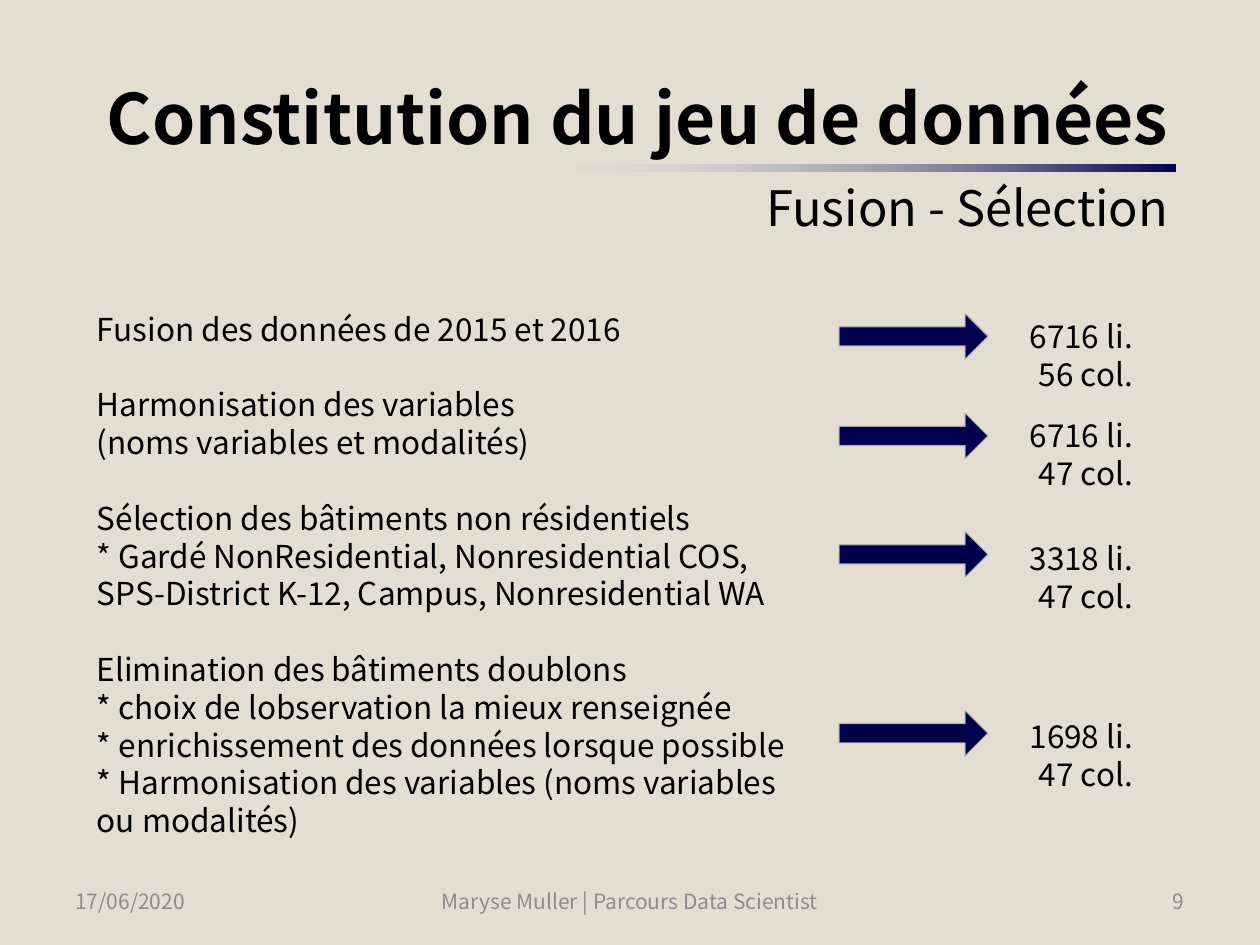
from lxml.etree import SubElement
from pptx import Presentation
from pptx.dml.color import RGBColor
from pptx.enum.shapes import MSO_SHAPE as Shape
from pptx.enum.text import MSO_ANCHOR as Anchor, PP_ALIGN as Align
from pptx.oxml.ns import qn
from pptx.util import Inches, Pt

FONT = "Noto Sans CJK JP"
SAND = RGBColor(0xE3, 0xDE, 0xD1)
NAVY = RGBColor(0x00, 0x00, 0x4C)
MIST = RGBColor(0xE2, 0xE2, 0xE5)
BLACK = RGBColor(0x00, 0x00, 0x00)
GREY = RGBColor(0x8C, 0x8C, 0x8C)
EDGE = RGBColor(0xA6, 0xA6, 0xA6)
LEADING = 1.2

deck = Presentation()
deck.slide_width, deck.slide_height = Inches(10), Inches(7.5)
page = deck.slides.add_slide(deck.slide_layouts[6])
page.background.fill.solid()
page.background.fill.fore_color.rgb = SAND


def add_text(groups, left, top, width, height, *, sizes=(18,), bold_first=False,
             gap=0, color=BLACK, align=Align.LEFT, anchor=Anchor.TOP):
    box = page.shapes.add_textbox(*map(Inches, (left, top, width, height)))
    frame = box.text_frame
    frame.word_wrap = True
    frame.vertical_anchor = anchor
    for row, lines in enumerate(groups):
        size = sizes[min(row, len(sizes) - 1)]
        for order, line in enumerate(lines):
            first = row == order == 0
            para = frame.paragraphs[0] if first else frame.add_paragraph()
            para.text = line
            para.alignment = align
            para.line_spacing = Pt(size * LEADING)
            para.space_before = Pt(gap if row and order == 0 else 0)
            for span in para.runs:
                span.font.name = FONT
                span.font.size = Pt(size)
                span.font.bold = bold_first and row == 0
                span.font.color.rgb = color


add_text([["Constitution du jeu de données"], ["Fusion - Sélection"]],
         0.59, 0.65, 8.78, 1.17, sizes=(39.6, 27.9), bold_first=True,
         gap=9 * LEADING, align=Align.RIGHT, anchor=Anchor.MIDDLE)

bar = page.shapes.add_shape(Shape.RECTANGLE, *map(Inches, (4.18, 1.31, 5.15, 0.05)))
bar.shadow.inherit = False
bar.line.fill.background()
bar.fill.gradient()
bar.fill.gradient_angle = 180
for stop, color in zip(bar.fill.gradient_stops, (NAVY, MIST)):
    stop.color.rgb = color
clear_end = list(bar.element.iter(qn("a:srgbClr")))[-1]
SubElement(clear_end, qn("a:alpha")).set("val", "0")

add_text([
    ["Fusion des données de 2015 et 2016"],
    ["Harmonisation des variables", "(noms variables et modalités)"],
    ["Sélection des bâtiments non résidentiels",
     "* Gardé NonResidential, Nonresidential COS,\vSPS-District K-12, Campus, Nonresidential WA"],
    ["Elimination des bâtiments doublons",
     "* choix de lobservation la mieux renseignée",
     "* enrichissement des données lorsque possible",
     "* Harmonisation des variables (noms variables ou modalités)"],
], 0.67, 2.41, 5.91, 5.25, gap=18 * LEADING)

results = [
    (2.67, 2.47, "6716 li.", "56 col."),
    (3.46, 3.25, "6716 li.", "47 col."),
    (4.4, 4.23, "3318 li.", "47 col."),
    (5.82, 5.64, "1698 li.", "47 col."),
]
for middle, top, rows, columns in results:
    arrow = page.shapes.add_shape(
        Shape.RIGHT_ARROW, *map(Inches, (6.66, middle - 0.18, 1.18, 0.36)))
    arrow.shadow.inherit = False
    arrow.adjustments[0], arrow.adjustments[1] = 0.42, 0.5
    arrow.fill.solid()
    arrow.fill.fore_color.rgb = NAVY
    arrow.line.color.rgb = EDGE
    arrow.line.width = Pt(0.5)
    add_text([[rows, columns]], 7.76, top, 1.33, 0.71, align=Align.RIGHT)

footer = [
    ("17/06/2020", 0.5, 2.33, Align.LEFT),
    ("Maryse Muller | Parcours Data Scientist", 3.15, 3.7, Align.CENTER),
    ("9", 7.17, 2.33, Align.RIGHT),
]
for label, left, width, align in footer:
    add_text([[label]], left, 6.95, width, 0.4, sizes=(12,), color=GREY,
             align=align, anchor=Anchor.MIDDLE)

deck.save("out.pptx")
